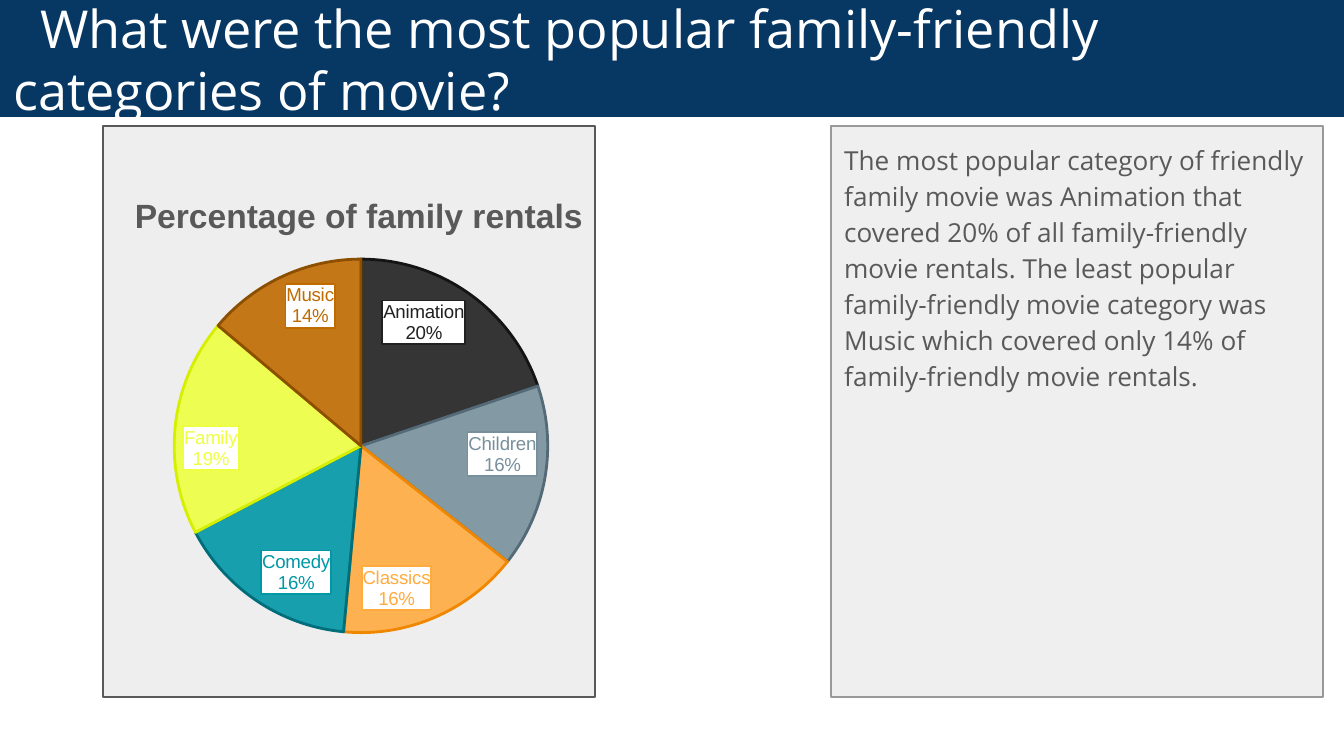
from dataclasses import dataclass

from lxml import etree
from pptx import Presentation
from pptx import util as u
from pptx.chart import data as chart_data
from pptx.dml import color
from pptx.enum import chart as charts, shapes, text
from pptx.oxml import ns, parse_xml

EMU_PER_PX = 914400 / 134.4


@dataclass(frozen=True)
class Theme:
    text_font: str = "Open Sans"
    chart_font: str = "Arial"
    navy: str = "073763"
    white: str = "FFFFFF"
    panel: str = "EEEEEE"
    text_panel: str = "EFEFEF"
    grey: str = "595959"
    light_grey: str = "999999"
    title_size: int = 28
    body_size: int = 14
    chart_title_size: int = 18
    label_size: int = 10


THEME = Theme()

# Category, value, slice colour, outline colour
RENTALS = [
    ("Animation", 20, "212121", "141414"),
    ("Children", 16, "78909C", "546A76"),
    ("Classics", 16, "FFAB40", "F08700"),
    ("Comedy", 16, "0097A7", "006E7A"),
    ("Family", 19, "EEFF41", "D6EE00"),
    ("Music", 14, "BF6B00", "8C4F00"),
]


def px(length):
    return u.Emu(round(length * EMU_PER_PX))


def rgb(value):
    return color.RGBColor.from_string(value)


def style_font(font, name, size, colour, bold=False):
    font.name, font.size, font.bold = name, u.Pt(size), bold
    font.color.rgb = rgb(colour)


def add_panel(page, box, fill, line=None):
    panel = page.shapes.add_shape(shapes.MSO_SHAPE.RECTANGLE, *map(px, box))
    panel.shadow.inherit = False
    panel.fill.solid()
    panel.fill.fore_color.rgb = rgb(fill)
    if line:
        panel.line.color.rgb = rgb(line)
        panel.line.width = u.Pt(0.75)
    else:
        panel.line.fill.background()
    return panel


def write_text(panel, words, size, colour, anchor):
    frame = panel.text_frame
    frame.text = words
    frame.word_wrap = True
    frame.vertical_anchor = anchor
    frame.margin_left = frame.margin_right = u.Inches(0.1)
    frame.margin_top = frame.margin_bottom = u.Inches(0.1)
    para = frame.paragraphs[0]
    para.alignment = text.PP_ALIGN.LEFT
    style_font(para.runs[0].font, THEME.text_font, size, colour)
    return para


def add_title(page, box, words):
    panel = add_panel(page, box, THEME.navy)
    para = write_text(panel, words, THEME.title_size, THEME.white,
                      text.MSO_ANCHOR.MIDDLE)
    # First-line indent
    para._p.get_or_add_pPr().set("indent", str(px(27)))


def add_commentary(page, box, words):
    panel = add_panel(page, box, THEME.text_panel, THEME.light_grey)
    para = write_text(panel, words, THEME.body_size, THEME.grey,
                      text.MSO_ANCHOR.TOP)
    para.line_spacing = 1.15
    para.space_after = u.Pt(16)


def manual_layout(target=None, **edges):
    """Layout in fractions of the chart area."""
    rows = f'<c:layoutTarget val="{target}"/>' if target else ""
    rows += '<c:xMode val="edge"/><c:yMode val="edge"/>'
    rows += "".join(f'<c:{key} val="{value}"/>' for key, value in edges.items())
    return parse_xml(f'<c:layout {ns.nsdecls("c")}><c:manualLayout>{rows}'
                     "</c:manualLayout></c:layout>")


def set_layout(parent, layout, before):
    for old in parent.findall(ns.qn("c:layout")):
        parent.remove(old)
    parent.find(ns.qn(before)).addprevious(layout)


def style_slice(point, fill, outline):
    point.format.fill.solid()
    point.format.fill.fore_color.rgb = rgb(fill)
    point.format.line.color.rgb = rgb(outline)
    point.format.line.width = u.Pt(1.5)
    # Slight transparency of the fill
    srgb = point.format.fill._xPr.find(f'{ns.qn("a:solidFill")}/{ns.qn("a:srgbClr")}')
    etree.SubElement(srgb, ns.qn("a:alpha")).set("val", "90000")


def style_label(series, index, colour):
    label = series.points[index].data_label
    style_font(label.font, THEME.chart_font, THEME.label_size, colour)
    label.position = charts.XL_LABEL_POSITION.INSIDE_END
    node = series._element.xpath(f'c:dLbls/c:dLbl[c:idx/@val="{index}"]')[0]
    for flag, shown in (("showVal", "0"), ("showCatName", "1"), ("showPercent", "1")):
        node.find(ns.qn(f"c:{flag}")).set("val", shown)
    etree.SubElement(node, ns.qn("c:separator")).text = "\n"
    # White label box with an outline in the slice colour
    node.find(ns.qn("c:txPr")).addprevious(parse_xml(
        f'<c:spPr {ns.nsdecls("c", "a")}>'
        f'<a:solidFill><a:srgbClr val="{THEME.white}"/></a:solidFill>'
        f'<a:ln w="12700"><a:solidFill><a:srgbClr val="{colour}"/></a:solidFill></a:ln>'
        "</c:spPr>"))


def add_rental_chart(page, box):
    left, top, width, height = box
    add_panel(page, box, THEME.panel, THEME.grey)

    # The data range starts with its header row and ends with two empty rows
    data = chart_data.CategoryChartData()
    data.categories = ["name"] + [row[0] for row in RENTALS]
    data.add_series("Series 1", [None] + [row[1] for row in RENTALS] + [None] * 2)

    # The chart area is wider than its panel
    frame = page.shapes.add_chart(
        charts.XL_CHART_TYPE.PIE, px(left - 94), px(top + 47),
        px(width + 212), px(height - 92), data)
    chart = frame.chart
    chart.has_legend = False
    chart.font.name = THEME.chart_font
    chart.font.size = u.Pt(THEME.label_size)
    chart._chartSpace.find(ns.qn("c:txPr")).addprevious(parse_xml(
        f'<c:spPr {ns.nsdecls("c", "a")}><a:noFill/><a:ln><a:noFill/></a:ln></c:spPr>'))

    # Title
    chart.has_title = True
    title = chart.chart_title
    title.text_frame.text = "Percentage of family rentals"
    style_font(title.text_frame.paragraphs[0].runs[0].font, THEME.chart_font,
               THEME.chart_title_size, THEME.grey, bold=True)
    set_layout(title._element, manual_layout(x=0.17, y=0.03), "c:overlay")

    # Slices and labels, after the header row
    plot = chart.plots[0]
    plot.vary_by_categories = True
    series = plot.series[0]
    for index, (_, _, fill, outline) in enumerate(RENTALS, start=1):
        style_slice(series.points[index], fill, outline)
        style_label(series, index, fill)
    area = chart._chartSpace.chart.plotArea
    set_layout(area, manual_layout("inner", x=0.23, y=0.18, w=0.54, h=0.78),
               "c:pieChart")


def main():
    deck = Presentation()
    deck.slide_width, deck.slide_height = px(1344), px(756)
    page = deck.slides.add_slide(deck.slide_layouts[6])

    add_commentary(
        page, (831, 126, 492, 571),
        "The most popular category of friendly family movie was Animation that "
        "covered 20% of all family-friendly movie rentals. The least popular "
        "family-friendly movie category was Music which covered only 14% of "
        "family-friendly movie rentals.")
    add_title(page, (0, 0, 1344, 117),
              "What were the most popular family-friendly categories of movie?")
    add_rental_chart(page, (103, 126, 492, 571))
    deck.save("out.pptx")


if __name__ == "__main__":
    main()
